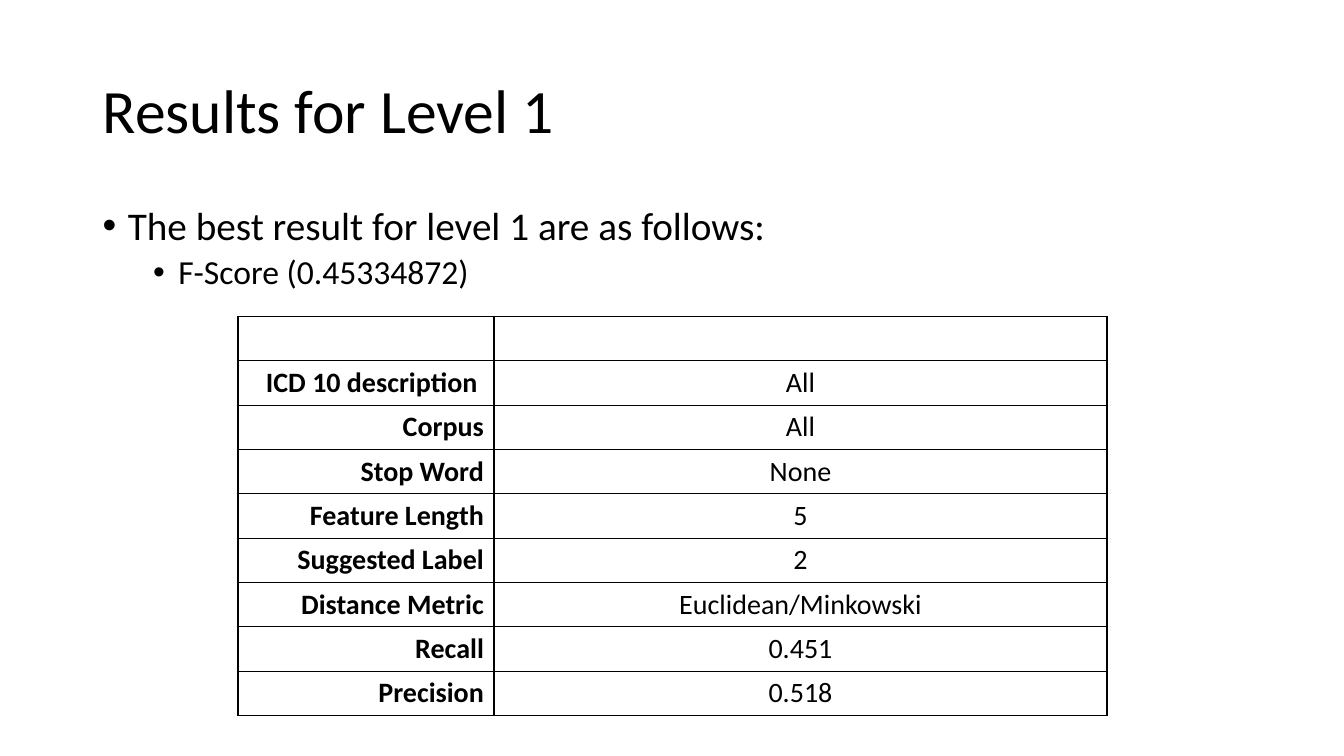
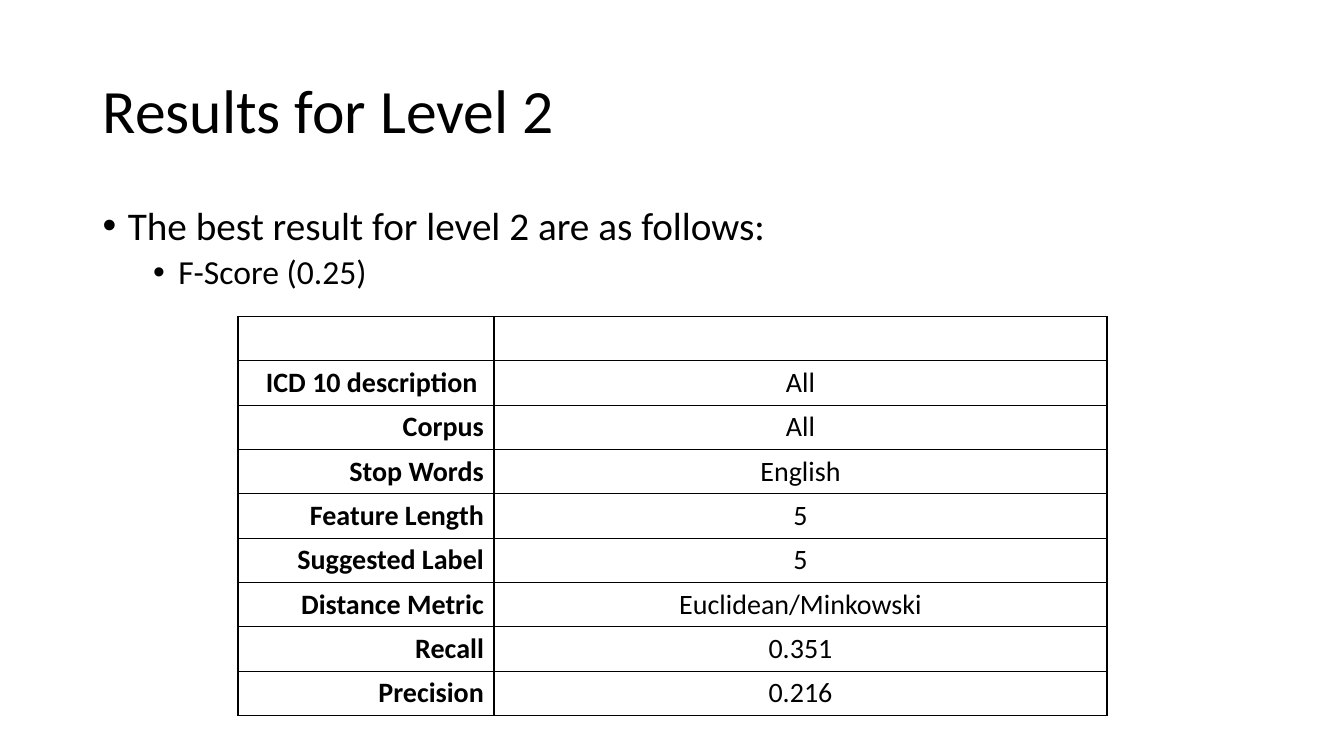
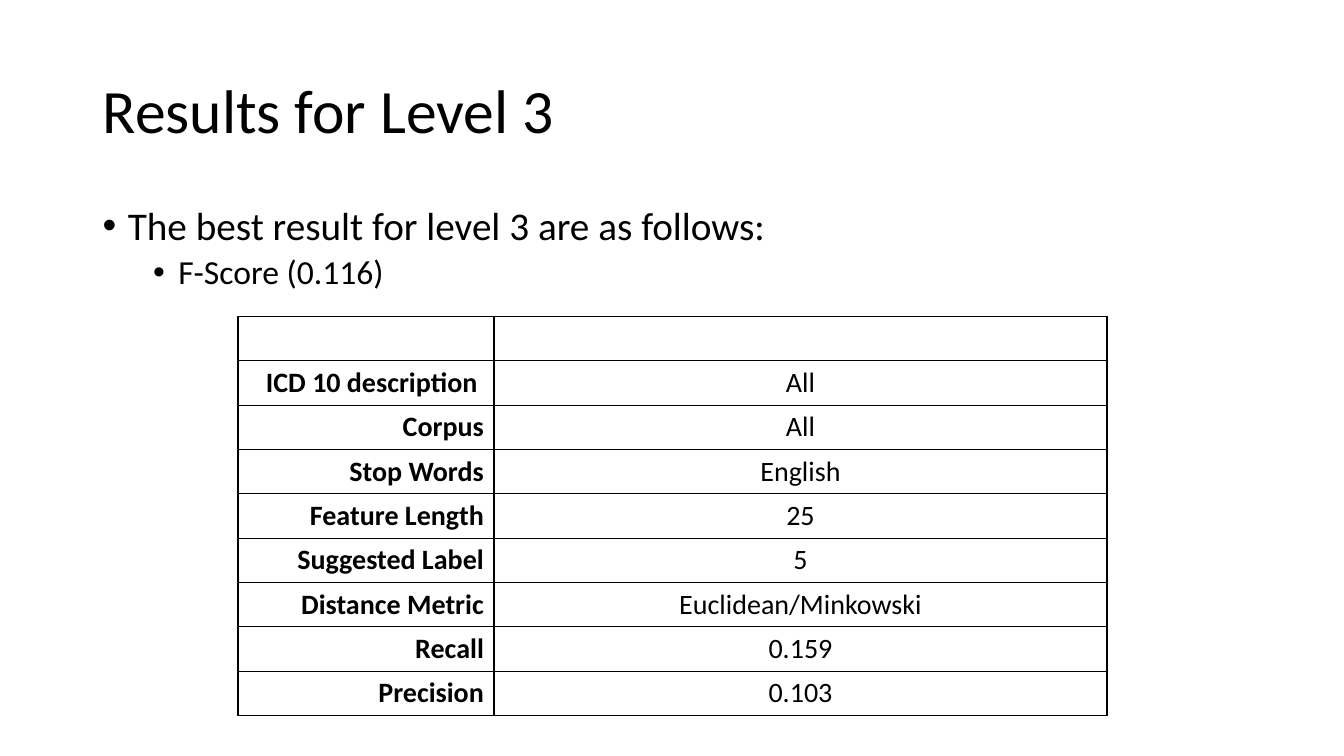
from lxml.etree import SubElement
from pptx import Presentation
from pptx.dml.color import RGBColor
from pptx.enum.text import MSO_ANCHOR as Anchor, PP_ALIGN as Align
from pptx.oxml.ns import qn
from pptx.util import Inches, Pt

LABELS = ["ICD 10 description ", "Corpus", "Stop Words", "Feature Length",
          "Suggested Label", "Distance Metric", "Recall", "Precision"]
LEVELS = [
    {"level": 1, "f_score": "0.45334872", "renamed": {"Stop Words": "Stop Word"},
     "values": ["All", "All", "None", "5", "2", "Euclidean/Minkowski", "0.451", "0.518"]},
    {"level": 2, "f_score": "0.25", "renamed": {},
     "values": ["All", "All", "English", "5", "5", "Euclidean/Minkowski", "0.351", "0.216"]},
    {"level": 3, "f_score": "0.116", "renamed": {},
     "values": ["All", "All", "English", "25", "5", "Euclidean/Minkowski", "0.159", "0.103"]},
]

BLACK = RGBColor(0x00, 0x00, 0x00)
FONT = "Calibri"
TITLE_BOX = (0.92, 0.4, 11.5, 1.45)
BODY_BOX = (0.92, 2, 11.5, 1.14)
TABLE_LEFT, TABLE_TOP = 2.36, 3.14
COLUMN_WIDTHS = (2.54, 6.08)
ROW_HEIGHT = 0.44
BORDER_WIDTH = Pt(1)
HANGING = 0.25

TITLE_FONT = {"name": FONT, "size": Pt(44)}
BULLETS = [
    {"font": {"name": FONT, "size": Pt(28)}, "indent": 0.25, "before": Pt(10)},
    {"font": {"name": FONT, "size": Pt(24)}, "indent": 0.75, "before": Pt(5)},
]
CELL_STYLES = [
    {"align": Align.RIGHT, "font": {"name": FONT, "size": Pt(20), "bold": True}},
    {"align": Align.CENTER, "font": {"name": FONT, "size": Pt(20), "bold": False}},
]


def write(paragraph, text, font_values):
    """Put one formatted black run into a paragraph."""
    run = paragraph.add_run()
    run.text = text
    for name, value in font_values.items():
        setattr(run.font, name, value)
    run.font.color.rgb = BLACK


def add_text_frame(slide, box, anchor):
    """Add a wrapping text box and return its text frame."""
    frame = slide.shapes.add_textbox(*map(Inches, box)).text_frame
    frame.word_wrap = True
    frame.vertical_anchor = anchor
    return frame


def add_title(slide, text):
    """Add the slide title."""
    paragraph = add_text_frame(slide, TITLE_BOX, Anchor.MIDDLE).paragraphs[0]
    paragraph.line_spacing = 0.9
    write(paragraph, text, TITLE_FONT)


def add_bullets(slide, lines):
    """Add one bullet per line, each a level deeper than the last."""
    frame = add_text_frame(slide, BODY_BOX, Anchor.TOP)
    for level, (text, style) in enumerate(zip(lines, BULLETS)):
        paragraph = frame.add_paragraph() if level else frame.paragraphs[0]
        paragraph.level = level
        paragraph.line_spacing = 0.9
        paragraph.space_before = style["before"]
        properties = paragraph._p.get_or_add_pPr()
        properties.set("marL", str(Inches(style["indent"])))
        properties.set("indent", str(-Inches(HANGING)))
        SubElement(properties, qn("a:buFont"), typeface="Arial")
        SubElement(properties, qn("a:buChar"), char="•")
        write(paragraph, text, style["font"])


def outline(cell):
    """Draw black borders round an unfilled cell."""
    properties = cell._tc.get_or_add_tcPr()
    for side in ("lnL", "lnR", "lnT", "lnB"):
        line = SubElement(properties, qn(f"a:{side}"), w=str(BORDER_WIDTH))
        fill = SubElement(line, qn("a:solidFill"))
        SubElement(fill, qn("a:srgbClr"), val=str(BLACK))
    cell.fill.background()


def add_results(slide, rows):
    """Add the table of settings and scores below an empty header row."""
    rows = [("", "")] + rows
    table = slide.shapes.add_table(
        len(rows), len(COLUMN_WIDTHS), Inches(TABLE_LEFT), Inches(TABLE_TOP),
        Inches(sum(COLUMN_WIDTHS)), Inches(ROW_HEIGHT * len(rows))).table
    table.first_row = table.horz_banding = False
    for column, width in zip(table.columns, COLUMN_WIDTHS):
        column.width = Inches(width)
    for table_row, texts in zip(table.rows, rows):
        table_row.height = Inches(ROW_HEIGHT)
        for cell, text, style in zip(table_row.cells, texts, CELL_STYLES):
            outline(cell)
            if text:
                paragraph = cell.text_frame.paragraphs[0]
                paragraph.alignment = style["align"]
                write(paragraph, text, style["font"])


def main():
    """Build one results slide per level."""
    presentation = Presentation()
    presentation.slide_width, presentation.slide_height = Inches(13.33), Inches(7.5)
    for result in LEVELS:
        level = result["level"]
        labels = [result["renamed"].get(label, label) for label in LABELS]
        slide = presentation.slides.add_slide(presentation.slide_layouts[6])
        add_title(slide, f"Results for Level {level}")
        add_bullets(slide, [f"The best result for level {level} are as follows:",
                            f"F-Score ({result['f_score']})"])
        add_results(slide, list(zip(labels, result["values"])))
    presentation.save("out.pptx")


main()
